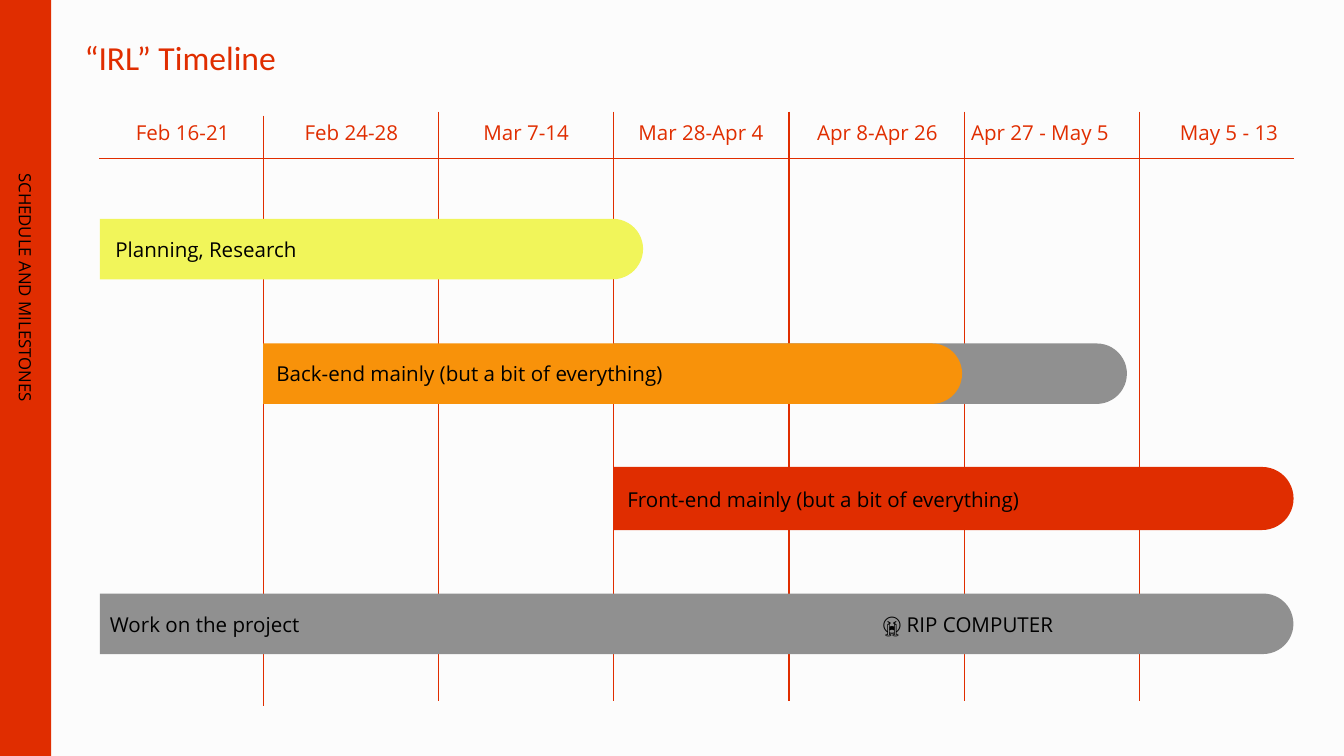
from lxml import etree
from pptx import Presentation
from pptx.dml.color import RGBColor
from pptx.enum.shapes import MSO_CONNECTOR, MSO_SHAPE
from pptx.enum.text import MSO_ANCHOR, PP_ALIGN
from pptx.oxml.ns import qn
from pptx.util import Pt

RECTANGLE = MSO_SHAPE.RECTANGLE
ROUNDED_END = MSO_SHAPE.ROUND_2_SAME_RECTANGLE
STRAIGHT = MSO_CONNECTOR.STRAIGHT
LEFT, CENTER = PP_ALIGN.LEFT, PP_ALIGN.CENTER
TOP, MIDDLE = MSO_ANCHOR.TOP, MSO_ANCHOR.MIDDLE

RED, ORANGE, YELLOW = "E02D00", "F8920A", "F1F55A"
GRAY, BLACK, PAPER = "909090", "000000", "FCFCFC"


def color(value):
    return RGBColor.from_string(value)


class TimelinePage:
    heading_font = "Calibri"
    body_font = "Open Sans"
    inset = 7.2

    def __init__(self, deck):
        self.page = deck.slides.add_slide(deck.slide_layouts[6])
        fill = self.page.background.fill
        fill.solid()
        fill.fore_color.rgb = color(PAPER)

    def shape(self, kind, left, top, width, height, fill):
        shape = self.page.shapes.add_shape(
            kind, Pt(left), Pt(top), Pt(width), Pt(height))
        shape.shadow.inherit = False
        shape.fill.solid()
        shape.fill.fore_color.rgb = color(fill)
        shape.line.fill.background()
        return shape

    def bar(self, left, top, length, height, fill):
        """Horizontal bar with a round right end: an upright shape turned by 90°."""
        shift = (length - height) / 2
        bar = self.shape(ROUNDED_END, left + shift, top - shift, height, length, fill)
        bar.adjustments[0] = 0.5
        bar.adjustments[1] = 0
        bar.rotation = 90

    def line(self, x1, y1, x2, y2):
        line = self.page.shapes.add_connector(
            STRAIGHT, Pt(x1), Pt(y1), Pt(x2), Pt(y2))
        line.line.color.rgb = color(RED)
        line.line.width = Pt(0.75)
        etree.SubElement(line._element.spPr, qn("a:effectLst"))

    def text(self, words, left, top, width, height, size=11, ink=BLACK,
             font=body_font, align=LEFT, anchor=MIDDLE, tab=None):
        box = self.page.shapes.add_textbox(Pt(left), Pt(top), Pt(width), Pt(height))
        frame = box.text_frame
        frame.word_wrap = True
        frame.vertical_anchor = anchor
        frame.margin_left = frame.margin_right = Pt(self.inset)
        frame.margin_top = frame.margin_bottom = Pt(self.inset)
        para = frame.paragraphs[0]
        para.text = words
        para.alignment = align
        if tab:
            stops = etree.SubElement(para._p.get_or_add_pPr(), qn("a:tabLst"))
            etree.SubElement(stops, qn("a:tab"), pos=str(Pt(tab)), algn="l")
        para.font.name = font
        para.font.size = Pt(size)
        para.font.color.rgb = color(ink)
        return box


def main():
    deck = Presentation()
    deck.slide_width, deck.slide_height = Pt(720), Pt(405)
    page = TimelinePage(deck)

    # Side band and title
    page.shape(RECTANGLE, 0, 0, 27.4, 405, RED)
    title = page.text("“IRL” Timeline", 38.2, 16.6, 283, 62, size=18, ink=RED,
                      font=page.heading_font, anchor=TOP)
    title.text_frame.paragraphs[0].line_spacing = 0.8
    section = page.text("SCHEDULE AND MILESTONES", -94.3, 140.4, 216, 27.4,
                        size=9, align=CENTER)
    section.rotation = 90

    # Date grid
    page.line(53.3, 85, 693.4, 85)
    first_line, step = 141, 93.9
    for index in range(6):
        x = first_line + index * step
        top = 62 if index == 0 else 59.8
        page.line(x, top, x, top + 316)

    # Date headings
    for left, width, dates in [
        (54.7, 86.4, "Feb 16-21"),
        (143.3, 90, "Feb 24-28"),
        (236.9, 90, "Mar 7-14"),
        (330.5, 90, "Mar 28-Apr 4"),
        (415.4, 109.4, "Apr 8-Apr 26"),
        (502.5, 109.4, "Apr 27 - May 5"),
        (613.4, 90, "May 5 - 13"),
    ]:
        page.text(dates, left, 57.6, width, 28, ink=RED, align=CENTER, anchor=TOP)

    # Task bars; the orange one covers the start of its gray extension
    for left, top, length, height, fill in [
        (53.5, 117.2, 291, 32.4, YELLOW),
        (328.7, 250.2, 364.3, 33.8, RED),
        (53.5, 318, 639.4, 32.4, GRAY),
        (328.7, 184, 275, 32.4, GRAY),
        (141, 184, 374.4, 32.4, ORANGE),
    ]:
        page.bar(left, top, length, height, fill)

    # Task labels
    for words, left, top, width, tab in [
        ("Planning, Research", 54.7, 117.4, 273, None),
        ("Back-end mainly (but a bit of everything)", 141, 183.8, 273, None),
        ("Front-end mainly (but a bit of everything)", 329, 251.3, 273, None),
        ("Work on the project\t😭 RIP COMPUTER", 51.8, 318.2, 633.6, 414),
    ]:
        page.text(words, left, top, width, 32.4, tab=tab)

    deck.save("out.pptx")


if __name__ == "__main__":
    main()
